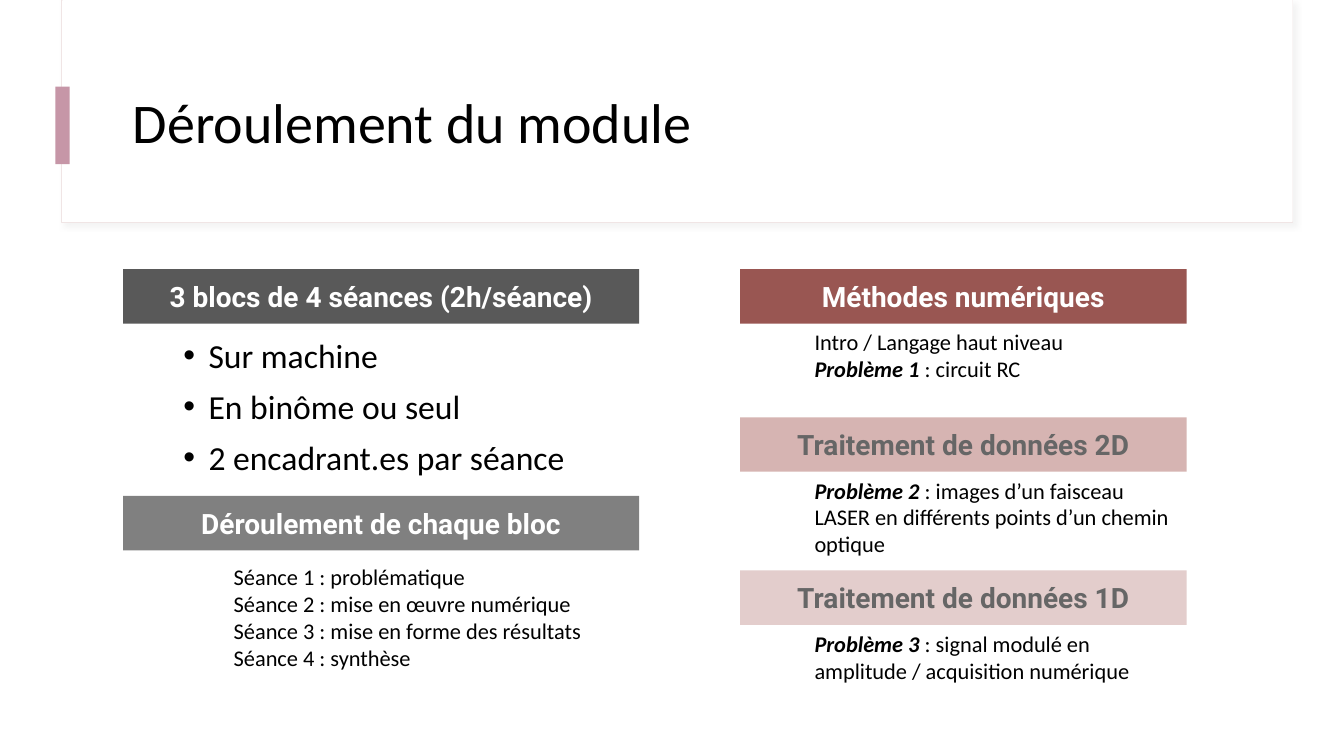
from dataclasses import dataclass

from lxml import etree
from pptx import Presentation
from pptx import util as u
from pptx.dml.color import RGBColor
from pptx.enum import shapes, text
from pptx.oxml.ns import qn


@dataclass(frozen=True)
class Theme:
    body_font: str = "Calibri"
    banner_font: str = "Roboto"
    black: str = "000000"
    white: str = "FFFFFF"
    grey_text: str = "666666"
    accent: str = "C696A7"
    frame_line: str = "F0E5E5"
    shadow: str = "D9D9D9"
    title_size: int = 40
    bullet_size: int = 24
    banner_size: int = 20
    detail_size: int = 16


@dataclass(frozen=True)
class Box:
    left: float
    top: float
    width: float
    height: float

    def lengths(self) -> list:
        return [u.Inches(value) for value in (self.left, self.top, self.width, self.height)]


@dataclass(frozen=True)
class Banner:
    label: str
    box: Box
    fill: str
    color: str


@dataclass(frozen=True)
class Detail:
    box: Box
    lines: tuple  # each line is (bold italic lead, plain rest)


THEME = Theme()
LEFT, LEFT_WIDTH = 1.22, 5.12
RIGHT, RIGHT_WIDTH = 7.34, 4.43
BANNER_HEIGHT = 0.54
DETAIL_LEFT, DETAIL_WIDTH = 7.98, 3.79


def left_box(top: float) -> Box:
    return Box(LEFT, top, LEFT_WIDTH, BANNER_HEIGHT)


def right_box(top: float) -> Box:
    return Box(RIGHT, top, RIGHT_WIDTH, BANNER_HEIGHT)


def below(top: float, height: float) -> Box:
    """Box that hangs directly under a right-hand banner."""
    return Box(DETAIL_LEFT, top + BANNER_HEIGHT, DETAIL_WIDTH, height)


BANNERS = (
    Banner("Méthodes numériques", right_box(2.67), "995652", THEME.white),
    Banner("Traitement de données 2D", right_box(4.14), "D6B4B2", THEME.grey_text),
    Banner("Traitement de données 1D", right_box(5.66), "E3CDCC", THEME.grey_text),
    Banner("3 blocs de 4 séances (2h/séance)", left_box(2.67), "595959", THEME.white),
    Banner("Déroulement de chaque bloc", left_box(4.92), "808080", THEME.white),
)

DETAILS = (
    Detail(Box(2.22, 5.54, 4.13, 1.21), (
        ("", "Séance 1 : problématique"),
        ("", "Séance 2 : mise en œuvre numérique"),
        ("", "Séance 3 : mise en forme des résultats"),
        ("", "Séance 4 : synthèse"),
    )),
    Detail(below(2.67, 0.64), (
        ("", "Intro / Langage haut niveau"),
        ("Problème 1", " : circuit RC"),
    )),
    Detail(below(4.14, 0.91), (
        ("Problème 2", " : images d’un faisceau LASER en différents points d’un chemin optique"),
    )),
    Detail(below(5.66, 0.64), (
        ("Problème 3", " : signal modulé en amplitude / acquisition numérique"),
    )),
)

BULLETS = ("Sur machine", "En binôme ou seul", "2 encadrant.es par séance")


def style(font, name: str, size: int, color: str) -> None:
    font.name = name
    font.size = u.Pt(size)
    font.color.rgb = RGBColor.from_string(color)


def add_rectangle(slide, box: Box, fill: str):
    shape = slide.shapes.add_shape(shapes.MSO_SHAPE.RECTANGLE, *box.lengths())
    shape.shadow.inherit = False
    shape.fill.solid()
    shape.fill.fore_color.rgb = RGBColor.from_string(fill)
    shape.line.fill.background()
    return shape


def add_text_frame(slide, box: Box):
    text_frame = slide.shapes.add_textbox(*box.lengths()).text_frame
    text_frame.word_wrap = True
    return text_frame


def add_soft_shadow(shape) -> None:
    effects = shape._element.spPr.find(qn("a:effectLst"))
    shadow = etree.SubElement(
        effects, qn("a:outerShdw"), blurRad=str(u.Pt(4)), dist=str(u.Pt(3)),
        dir=str(45 * 60000), algn="tl", rotWithShape="0")
    color = etree.SubElement(shadow, qn("a:srgbClr"), val=THEME.shadow)
    etree.SubElement(color, qn("a:alpha"), val="30000")


def add_header(slide) -> None:
    frame = add_rectangle(slide, Box(0.61, 0, 12.21, 2.21), THEME.white)
    frame.line.color.rgb = RGBColor.from_string(THEME.frame_line)
    frame.line.width = u.Pt(0.75)
    add_soft_shadow(frame)
    add_rectangle(slide, Box(0.62, 0, 12.2, 2.2), THEME.white)
    add_rectangle(slide, Box(0.55, 0.86, 0.14, 0.77), THEME.accent)

    text_frame = add_text_frame(slide, Box(LEFT, 0.6, 11.12, 1.29))
    text_frame.vertical_anchor = text.MSO_ANCHOR.MIDDLE
    text_frame.text = "Déroulement du module"
    paragraph = text_frame.paragraphs[0]
    paragraph.line_spacing = 0.9
    style(paragraph.runs[0].font, THEME.body_font, THEME.title_size, THEME.black)


def add_bullets(slide) -> None:
    text_frame = add_text_frame(slide, Box(LEFT, 3.23, 5.4, 1.6))
    text_frame.text = "\n".join(BULLETS)
    for index, paragraph in enumerate(text_frame.paragraphs):
        paragraph.line_spacing = 1.1
        paragraph.space_before = u.Pt(5 if index else 0)
        properties = paragraph._p.get_or_add_pPr()
        properties.set("marL", str(u.Inches(0.75)))
        properties.set("indent", str(u.Inches(-0.25)))
        etree.SubElement(properties, qn("a:buFont"), typeface="Arial")
        etree.SubElement(properties, qn("a:buChar"), char="•")
        style(paragraph.runs[0].font, THEME.body_font, THEME.bullet_size, THEME.black)


def add_banner(slide, banner: Banner) -> None:
    text_frame = add_rectangle(slide, banner.box, banner.fill).text_frame
    text_frame.margin_left = text_frame.margin_right = u.Inches(0.1)
    text_frame.margin_top = text_frame.margin_bottom = u.Inches(0.1)
    text_frame.vertical_anchor = text.MSO_ANCHOR.TOP
    text_frame.word_wrap = True
    text_frame.text = banner.label
    paragraph = text_frame.paragraphs[0]
    paragraph.alignment = text.PP_ALIGN.CENTER
    font = paragraph.runs[0].font
    style(font, THEME.banner_font, THEME.banner_size, banner.color)
    font.bold = True


def add_detail(slide, detail: Detail) -> None:
    text_frame = add_text_frame(slide, detail.box)
    for index, (lead, rest) in enumerate(detail.lines):
        paragraph = text_frame.add_paragraph() if index else text_frame.paragraphs[0]
        for content, emphasis in ((lead, True), (rest, False)):
            if content:
                run = paragraph.add_run()
                run.text = content
                style(run.font, THEME.body_font, THEME.detail_size, THEME.black)
                run.font.bold = run.font.italic = emphasis


def main() -> None:
    presentation = Presentation()
    presentation.slide_width = u.Inches(13.33)
    presentation.slide_height = u.Inches(7.5)
    slide = presentation.slides.add_slide(presentation.slide_layouts[6])

    # Title area
    add_header(slide)
    # Left-hand bullet list
    add_bullets(slide)
    # Section banners and the text beneath them
    for banner in BANNERS:
        add_banner(slide, banner)
    for detail in DETAILS:
        add_detail(slide, detail)

    presentation.save("out.pptx")


if __name__ == "__main__":
    main()
